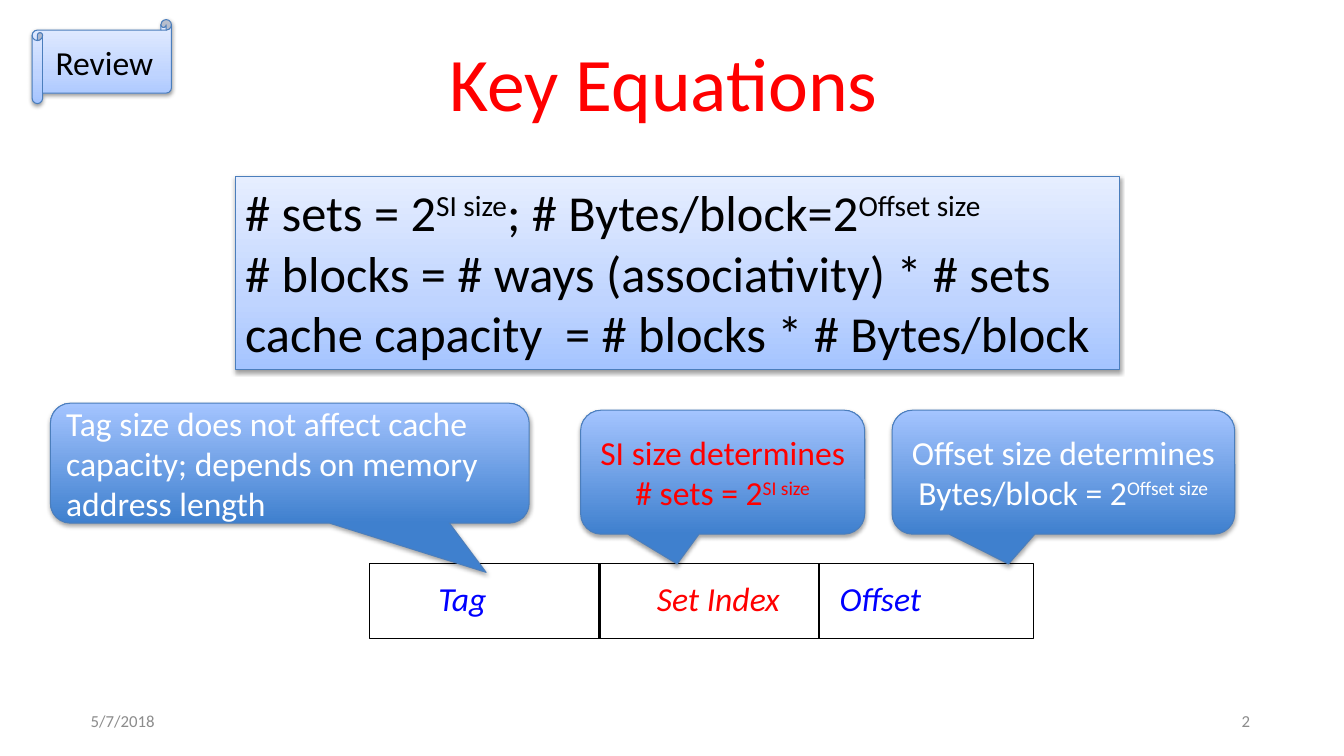
from lxml import etree
from pptx import Presentation
from pptx.dml.color import RGBColor
from pptx.enum.shapes import MSO_CONNECTOR, MSO_SHAPE
from pptx.enum.text import MSO_ANCHOR, MSO_AUTO_SIZE, PP_ALIGN
from pptx.oxml.ns import qn
from pptx.util import Pt

COLORS = {
    "red": "FF0000", "blue": "0000FF", "black": "000000", "white": "FFFFFF",
    "gray": "8C8C8C", "edge": "4B7EBC",
    "deep": "3F80CE", "sky": "A4C4FF", "pale": "BFD4FF", "mist": "E6EEFF",
}
PALE_STYLE = {"stops": [(0, "sky"), (35, "pale"), (100, "mist")], "shade": 38, "drop": 1.6}
DEEP_STYLE = {"stops": [(0, "deep"), (100, "sky")], "shade": 35, "drop": 1.8}


def rgb(name):
    return RGBColor.from_string(COLORS[name])


def add_color(parent, name, alpha=None):
    color = etree.SubElement(parent, qn("a:srgbClr"), val=COLORS[name])
    if alpha is not None:
        etree.SubElement(color, qn("a:alpha"), val=str(alpha * 1000))


def write(holder, lines, size, color, align=PP_ALIGN.LEFT, anchor=MSO_ANCHOR.MIDDLE,
          wrap=True, grow=False, italic=None):
    """Fill a shape with lines of text; parts between ^ marks are superscript."""
    frame = holder.text_frame
    frame.word_wrap = wrap
    frame.vertical_anchor = anchor
    frame.auto_size = MSO_AUTO_SIZE.SHAPE_TO_FIT_TEXT if grow else MSO_AUTO_SIZE.NONE
    font_format = {"name": "Calibri", "size": Pt(size), "italic": italic}
    for index, line in enumerate(lines):
        paragraph = frame.paragraphs[0] if index == 0 else frame.add_paragraph()
        paragraph.alignment = align
        for position, part in enumerate(line.split("^")):
            if not part:
                continue
            run = paragraph.add_run()
            run.text = part
            for key, value in font_format.items():
                setattr(run.font, key, value)
            run.font.color.rgb = rgb(color)
            if position % 2:
                run.font._element.set("baseline", "30000")


def add_label(slide, box, text, size, color, **text_format):
    label = slide.shapes.add_textbox(*map(Pt, box))
    write(label, [text], size, color, **text_format)


def add_glossy(slide, kind, box, style):
    """Add a shape with a vertical gradient and a soft shadow below it."""
    shape = slide.shapes.add_shape(kind, *map(Pt, box))
    shape.fill.gradient()
    shape.fill.gradient_angle = 90
    stop_list = shape._element.spPr.find(".//" + qn("a:gsLst"))
    for stop in list(stop_list):
        stop_list.remove(stop)
    for percent, color in style["stops"]:
        add_color(etree.SubElement(stop_list, qn("a:gs"), pos=str(percent * 1000)), color)
    shape.line.color.rgb = rgb("edge")
    shape.line.width = Pt(0.75)
    shape.shadow.inherit = False
    effects = shape._element.spPr.find(qn("a:effectLst"))
    shadow = etree.SubElement(
        effects, qn("a:outerShdw"), blurRad=str(Pt(3.1)), dist=str(Pt(style["drop"])),
        dir="5400000", rotWithShape="0")
    add_color(shadow, "black", style["shade"])
    return shape


def add_header(slide, box):
    left, top, width, height = box
    add_label(slide, (left + 150, top + 25, 648, 38), "Key Equations", 54, "red",
              align=PP_ALIGN.CENTER)
    review = add_glossy(slide, MSO_SHAPE.HORIZONTAL_SCROLL,
                        (left + 23, top + 0, 99.5, height), PALE_STYLE)
    write(review, ["Review"], 24, "black", align=PP_ALIGN.CENTER)


def add_equations(slide, box):
    panel = add_glossy(slide, MSO_SHAPE.RECTANGLE, box, PALE_STYLE)
    write(panel, [
        "# sets = 2^SI size^; # Bytes/block=2^Offset size",
        "# blocks = # ways (associativity) * # sets",
        "cache capacity  = # blocks * # Bytes/block",
    ], 36, "black", anchor=MSO_ANCHOR.TOP, grow=True)


def add_address(slide, box):
    """Draw the memory address with its three fields."""
    left, top, width, height = box
    address = slide.shapes.add_shape(MSO_SHAPE.RECTANGLE, *map(Pt, box))
    address.fill.background()
    address.line.color.rgb = rgb("black")
    address.line.width = Pt(0.75)
    address.shadow.inherit = False
    for offset in (164.2, 320.8):
        x = left + offset
        divider = slide.shapes.add_connector(
            MSO_CONNECTOR.STRAIGHT, Pt(x), Pt(top), Pt(x), Pt(top + height))
        divider.line.color.rgb = rgb("black")
        divider.line.width = Pt(2)
        etree.SubElement(divider._element.spPr, qn("a:effectLst"))
    for name, offset, label_width, color in (
            ("Tag", 41.8, 49.7, "blue"),
            ("Set Index", 198, 103, "red"),
            ("Offset", 328.4, 74.2, "blue")):
        add_label(slide, (left + offset, top + 6.5, label_width, 36), name, 24, color,
                  anchor=MSO_ANCHOR.TOP, wrap=False, grow=True, italic=True)


def add_callout(slide, box, text, color, tip, align=PP_ALIGN.CENTER):
    callout = add_glossy(slide, MSO_SHAPE.ROUNDED_RECTANGULAR_CALLOUT, box, DEEP_STYLE)
    for index, value in enumerate((*tip, 0.167)):
        callout.adjustments[index] = value
    write(callout, [text], 24, color, align=align)


def add_footer(slide, box):
    left, top, width, height = box
    add_label(slide, (left, top, 168, height), "5/7/2018", 12, "gray")
    add_label(slide, (left + width - 168, top, 168, height), "2", 12, "gray",
              align=PP_ALIGN.RIGHT)


def main():
    deck = Presentation()
    deck.slide_width, deck.slide_height = Pt(960), Pt(540)
    slide = deck.slides.add_slide(deck.slide_layouts[6])
    add_header(slide, (0, 14, 960, 60))
    add_address(slide, (264.2, 402.5, 473.8, 53.3))
    add_footer(slide, (57.6, 500.5, 842.4, 28.8))
    add_equations(slide, (168, 126, 632, 138))
    down_left = (-0.16, 0.74)
    add_callout(slide, (414.7, 293, 203, 88.6),
                "SI size determines # sets = 2^SI size", "red", down_left)
    add_callout(slide, (637.2, 293, 244.8, 88.6),
                "Offset size determines Bytes/block = 2^Offset size", "white", down_left)
    add_callout(slide, (36, 288, 342, 85.7),
                "Tag size does not affect cache capacity; depends on memory address length",
                "white", (0.41, 0.91), align=PP_ALIGN.LEFT)
    deck.save("out.pptx")


if __name__ == "__main__":
    main()
